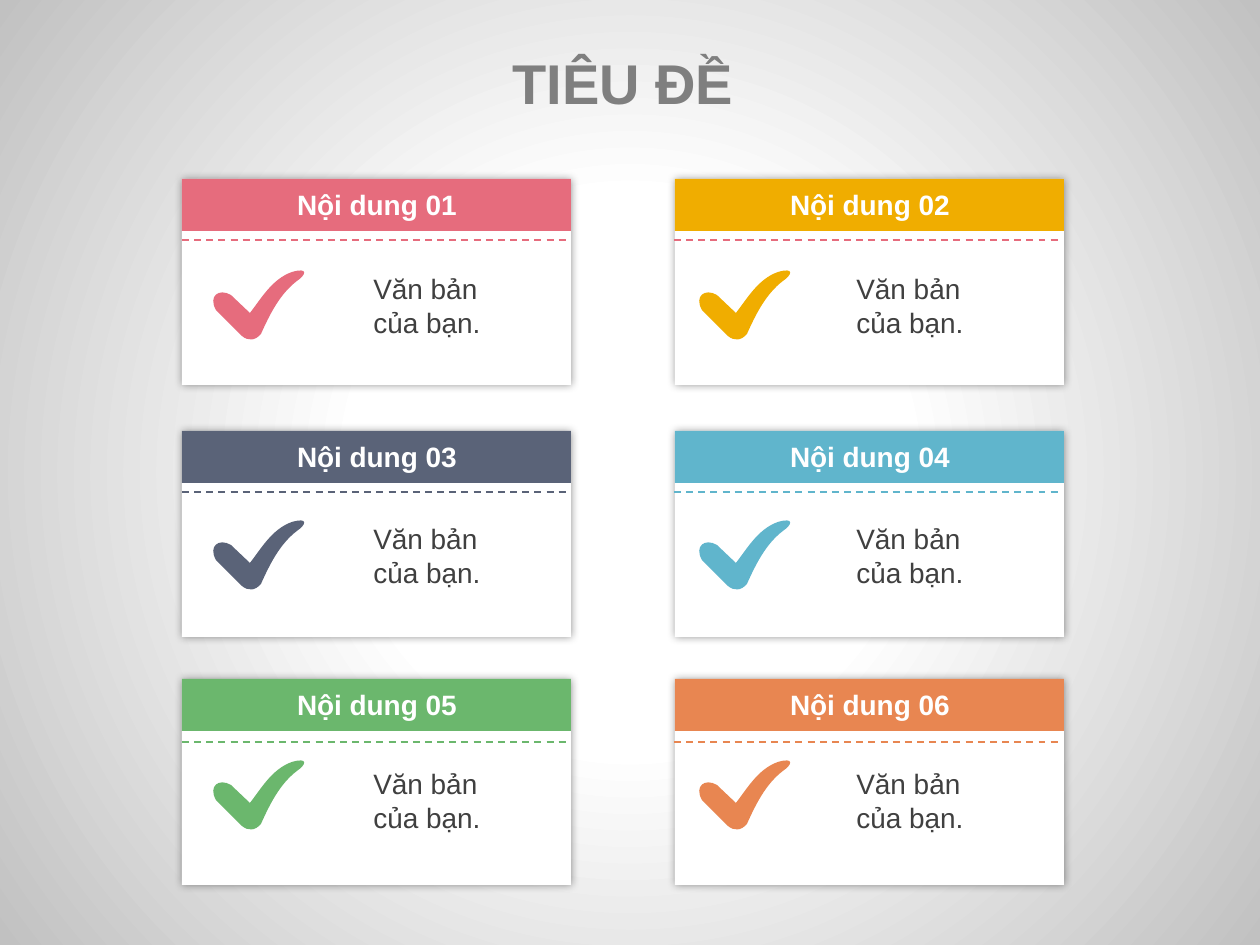
from lxml.etree import SubElement
from pptx import Presentation
from pptx.dml.color import RGBColor
from pptx.enum.dml import MSO_LINE
from pptx.enum.shapes import MSO_CONNECTOR, MSO_SHAPE
from pptx.enum.text import MSO_ANCHOR, MSO_AUTO_SIZE, PP_ALIGN
from pptx.oxml import parse_xml
from pptx.oxml.ns import nsdecls, qn
from pptx.util import Inches, Pt

PX = 914400 // 126
COLORS = {
    "pink": "E66C7D", "yellow": "F0AD00", "slate": "5A6378",
    "blue": "60B5CC", "green": "6BB76D", "orange": "E88651",
    "white": "FFFFFF", "edge": "C1C1C1", "title": "7F7F7F",
    "body": "404040", "shadow": "000000",
}


def write(shape, text, size=16, color="body", bold=False, align=PP_ALIGN.LEFT, wrap=True):
    frame = shape.text_frame
    frame.word_wrap = wrap
    frame.auto_size = MSO_AUTO_SIZE.SHAPE_TO_FIT_TEXT
    frame.vertical_anchor = MSO_ANCHOR.MIDDLE
    paragraph = frame.paragraphs[0]
    paragraph.alignment = align
    run = paragraph.add_run()
    run.text = text
    run.font.name = "Arial"
    run.font.size = Pt(size)
    run.font.bold = bold
    run.font.color.rgb = RGBColor.from_string(COLORS[color])


def paint(shape, color):
    shape.fill.solid()
    shape.fill.fore_color.rgb = RGBColor.from_string(COLORS[color])
    shape.line.fill.background()
    shape.shadow.inherit = False


deck = Presentation()
deck.slide_width, deck.slide_height = Inches(10), Inches(7.5)
slide = deck.slides.add_slide(deck.slide_layouts[5])
slide.element.cSld.insert(0, parse_xml(
    f'<p:bg {nsdecls("p", "a")}><p:bgPr><a:gradFill rotWithShape="1"><a:gsLst>'
    f'<a:gs pos="35000"><a:srgbClr val="{COLORS["white"]}"/></a:gs>'
    f'<a:gs pos="100000"><a:srgbClr val="{COLORS["edge"]}"/></a:gs></a:gsLst>'
    '<a:path path="circle"><a:fillToRect l="50000" t="50000" r="50000" b="50000"/></a:path>'
    '</a:gradFill><a:effectLst/></p:bgPr></p:bg>'))

title = slide.shapes.title
title.left, title.top, title.width, title.height = 104 * PX, 42 * PX, 1038 * PX, 81 * PX
write(title, "TIÊU ĐỀ", size=32, color="title", bold=True, align=PP_ALIGN.CENTER, wrap=False)

CHECK_WIDTH, CHECK_HEIGHT = 91, 70
CHECK_SEGMENTS = [
    ("moveTo", [(37, 43)]),
    ("lnTo", [(18, 25)]),
    ("cubicBezTo", [(6, 18), (-5, 26), (3, 40)]),
    ("lnTo", [(29, 66)]),
    ("cubicBezTo", [(35, 71), (42, 71), (48, 64)]),
    ("cubicBezTo", [(57, 44), (67, 24), (84, 11)]),
    ("cubicBezTo", [(93, 5), (96, -3), (79, 2)]),
    ("cubicBezTo", [(59, 9), (48, 29), (37, 43)]),
    ("close", []),
]

CARD_WIDTH, CARD_HEIGHT, BAR_HEIGHT, RULE_LENGTH = 389, 206, 52, 388
COLUMNS = [
    {"card": 182, "rule": 182, "check": 213, "body": 361},
    {"card": 675, "rule": 674, "check": 699, "body": 844},
]
ROWS = [
    {"card": 179, "rule": 240, "check": 270, "body": 265},
    {"card": 431, "rule": 492, "check": 520, "body": 515},
    {"card": 679, "rule": 742, "check": 760, "body": 760},
]
CARDS = [
    ("pink", "pink"), ("yellow", "pink"), ("slate", "slate"),
    ("blue", "blue"), ("green", "green"), ("orange", "orange"),
]

for index, (accent, rule_color) in enumerate(CARDS):
    row, column = ROWS[index // 2], COLUMNS[index % 2]
    left, top = column["card"], row["card"]
    group = slide.shapes.add_group_shape()

    card = group.shapes.add_shape(
        MSO_SHAPE.RECTANGLE, left * PX, top * PX, CARD_WIDTH * PX, CARD_HEIGHT * PX)
    paint(card, "white")
    effects = card.element.spPr.find(qn("a:effectLst"))
    shadow = SubElement(effects, qn("a:outerShdw"), blurRad=str(Pt(5)), algn="ctr", rotWithShape="0")
    tint = SubElement(shadow, qn("a:srgbClr"), val=COLORS["shadow"])
    SubElement(tint, qn("a:alpha"), val="40000")

    bar = group.shapes.add_shape(
        MSO_SHAPE.RECTANGLE, left * PX, top * PX, CARD_WIDTH * PX, BAR_HEIGHT * PX)
    paint(bar, accent)

    rule = group.shapes.add_connector(
        MSO_CONNECTOR.STRAIGHT, column["rule"] * PX, row["rule"] * PX,
        (column["rule"] + RULE_LENGTH) * PX, row["rule"] * PX)
    rule.line.color.rgb = RGBColor.from_string(COLORS[rule_color])
    rule.line.width = Pt(1)
    rule.line.dash_style = MSO_LINE.DASH
    SubElement(rule.element.spPr, qn("a:effectLst"))

    builder = slide.shapes.build_freeform(0, 0, scale=PX)
    builder.add_line_segments([(CHECK_WIDTH, 0), (CHECK_WIDTH, CHECK_HEIGHT)])
    check = builder.convert_to_shape(column["check"] * PX, row["check"] * PX)
    outline = next(check.element.spPr.iter(qn("a:path")))
    for segment in list(outline):
        outline.remove(segment)
    for kind, points in CHECK_SEGMENTS:
        segment = SubElement(outline, qn(f"a:{kind}"))
        for x, y in points:
            SubElement(segment, qn("a:pt"), x=str(x), y=str(y))
    paint(check, accent)

    body = slide.shapes.add_textbox(column["body"] * PX, row["body"] * PX, 174 * PX, 81 * PX)
    write(body, "Văn bản của bạn.")

    heading = slide.shapes.add_textbox((left + 69) * PX, (top + 2) * PX, 252 * PX, 47 * PX)
    write(heading, f"Nội dung {index + 1:02}", color="white", bold=True, align=PP_ALIGN.CENTER)

deck.save("out.pptx")
